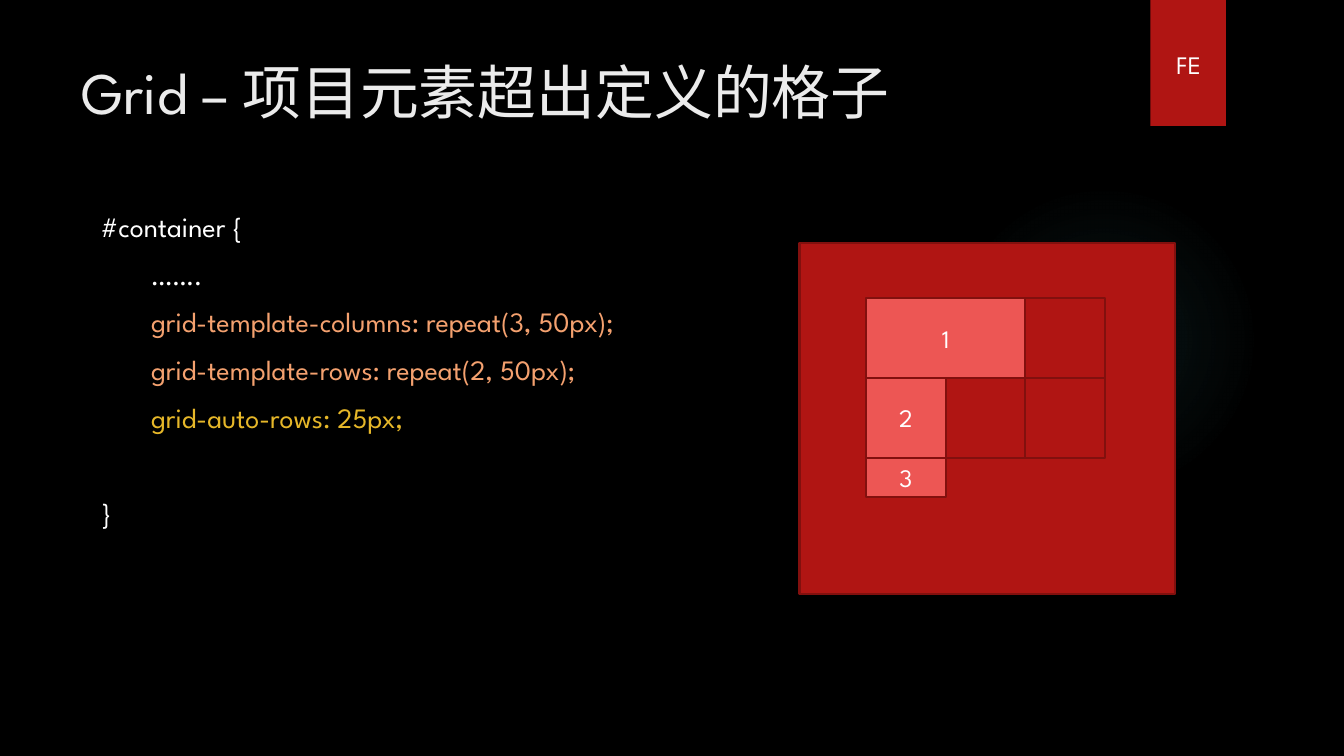
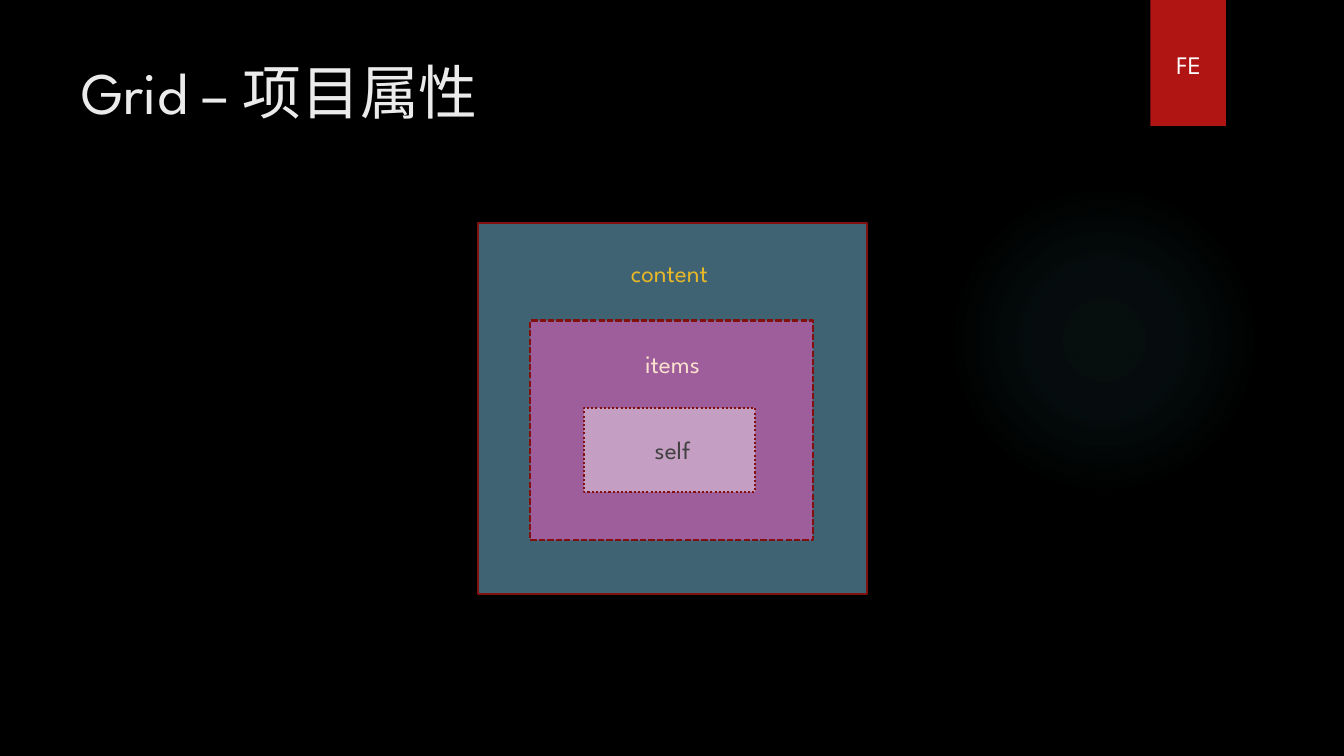
from lxml.etree import SubElement
from pptx import Presentation
from pptx.dml.color import RGBColor
from pptx.enum.dml import MSO_LINE
from pptx.enum.shapes import MSO_SHAPE
from pptx.enum.text import MSO_ANCHOR, MSO_AUTO_SIZE, PP_ALIGN
from pptx.oxml import parse_xml
from pptx.oxml.ns import nsdecls, qn
from pptx.util import Inches, Pt

# Shared style
FONT = "League Spartan"
BLACK, WHITE, TITLE = "000000", "FFFFFF", "EBEBEB"
RED, DARK_RED, CORAL = "B01513", "82100E", "ED5654"
ORANGE, YELLOW, TEAL = "F4A16F", "E6B729", "50B9C1"


def color(value):
    return RGBColor.from_string(value)


def write(frame, lines, *, size=18, ink=WHITE, align=PP_ALIGN.LEFT,
          anchor=MSO_ANCHOR.TOP, wrap=True):
    """Fill a frame; a line is text or (text, ink, indent, space before)."""
    frame.word_wrap = wrap
    frame.vertical_anchor = anchor
    for index, line in enumerate(lines):
        text, line_ink, indent, before = (
            (line, ink, 0, 0) if isinstance(line, str) else line)
        paragraph = frame.paragraphs[0] if index == 0 else frame.add_paragraph()
        paragraph.alignment = align
        paragraph.space_before = Pt(before)
        if indent:
            properties = paragraph._p.get_or_add_pPr()
            properties.set("marL", str(Inches(indent)))
            properties.set("indent", "0")
        run = paragraph.add_run()
        run.text = text
        run.font.name = FONT
        run.font.size = Pt(size)
        run.font.color.rgb = color(line_ink)


def add_text(shapes, box, *lines, **style):
    textbox = shapes.add_textbox(*map(Inches, box))
    write(textbox.text_frame, lines, **style)
    return textbox


def add_block(shapes, box, fill=None, *, line=DARK_RED, dash=None, label=None,
              kind=MSO_SHAPE.RECTANGLE):
    block = shapes.add_shape(kind, *map(Inches, box))
    block.shadow.inherit = False
    if fill:
        block.fill.solid()
        block.fill.fore_color.rgb = color(fill)
    else:
        block.fill.background()
    if line:
        block.line.color.rgb = color(line)
        block.line.width = Pt(1.5)
        if dash:
            block.line.dash_style = dash
    else:
        block.line.fill.background()
    if label:
        write(block.text_frame, [label], align=PP_ALIGN.CENTER,
              anchor=MSO_ANCHOR.MIDDLE)
    return block


def add_glow(shapes):
    glow = add_block(shapes, (9.41, 1.83, 3.08, 3.08), line=None,
                     kind=MSO_SHAPE.OVAL)
    stops = "".join(
        f'<a:gs pos="{place * 1000}"><a:srgbClr val="{TEAL}">'
        f'<a:alpha val="{alpha * 1000}"/></a:srgbClr></a:gs>'
        for place, alpha in ((0, 7), (36, 6), (69, 0)))
    gradient = parse_xml(
        f'<a:gradFill {nsdecls("a")}><a:gsLst>{stops}</a:gsLst>'
        '<a:path path="circle"><a:fillToRect l="50000" t="50000" '
        'r="50000" b="50000"/></a:path></a:gradFill>')
    no_fill = glow._element.spPr.find(qn("a:noFill"))
    no_fill.getparent().replace(no_fill, gradient)


def add_ribbon(shapes):
    ribbon = add_block(shapes, (11.41, 0, 0.75, 1.25), RED, line=None)
    effects = ribbon._element.spPr.find(qn("a:effectLst"))
    shadow = SubElement(effects, qn("a:outerShdw"), blurRad=str(Pt(3)),
                        dist=str(Pt(2)), dir="5400000", rotWithShape="0")
    shade = SubElement(shadow, qn("a:srgbClr"), val=BLACK)
    SubElement(shade, qn("a:alpha"), val="45000")


def new_slide(deck, title):
    slide = deck.slides.add_slide(deck.slide_layouts[6])
    slide.background.fill.solid()
    slide.background.fill.fore_color.rgb = color(BLACK)
    shapes = slide.shapes
    add_glow(shapes)
    add_ribbon(shapes)
    add_text(shapes, (0.71, 0.5, 10.29, 1.53), title, size=42, ink=TITLE)
    tag = add_text(shapes, (11.56, 0.44, 0.46, 0.4), "FE",
                   align=PP_ALIGN.CENTER, wrap=False)
    tag.text_frame.auto_size = MSO_AUTO_SIZE.SHAPE_TO_FIT_TEXT
    return shapes


def overflow_slide(deck):
    shapes = new_slide(deck, "Grid – 项目元素超出定义的格子")

    # Style rule
    add_text(
        shapes, (0.9, 2.03, 6.13, 4.59),
        ("#container {", WHITE, 0, 10),
        ("…….", WHITE, 0.5, 10),
        ("grid-template-columns: repeat(3, 50px);", ORANGE, 0.5, 10),
        ("grid-template-rows: repeat(2, 50px);", ORANGE, 0.5, 10),
        ("grid-auto-rows: 25px;", YELLOW, 0.5, 10),
        ("}", WHITE, 0, 44),
        size=20)

    # Container with its grid: column, row, columns spanned, height, item
    add_block(shapes, (7.93, 2.41, 3.72, 3.48), RED)
    left, top, cell = 8.59, 2.96, 0.79
    for column, row, span, height, item in (
            (0, 1, 1, cell, "2"), (0, 0, 2, cell, "1"), (1, 1, 1, cell, None),
            (0, 2, 1, cell / 2, "3"), (2, 1, 1, cell, None),
            (2, 0, 1, cell, None)):
        add_block(shapes,
                  (left + column * cell, top + row * cell, span * cell, height),
                  CORAL if item else None, label=item)


def properties_slide(deck):
    shapes = new_slide(deck, "Grid – 项目属性")

    # Nested layers, outermost first
    for name, ink, fill, dash, box, label_left, label_top in (
            ("content", YELLOW, "3F6373", None,
             (4.74, 2.21, 3.86, 3.68), 5.63, 2.45),
            ("items", "FBE0CF", "9E5E9B", MSO_LINE.SQUARE_DOT,
             (5.26, 3.18, 2.8, 2.18), 5.66, 3.36),
            ("self", "404040", "C59EC3", MSO_LINE.ROUND_DOT,
             (5.79, 4.05, 1.7, 0.83), 5.66, 4.21)):
        layer = shapes.add_group_shape().shapes
        add_block(layer, box, fill, dash=dash)
        add_text(layer, (label_left, label_top, 2.02, 0.5), name, ink=ink,
                 align=PP_ALIGN.CENTER, anchor=MSO_ANCHOR.MIDDLE)


def main():
    deck = Presentation()
    deck.slide_width, deck.slide_height = Inches(13.33), Inches(7.5)
    overflow_slide(deck)
    properties_slide(deck)
    deck.save("out.pptx")


main()
